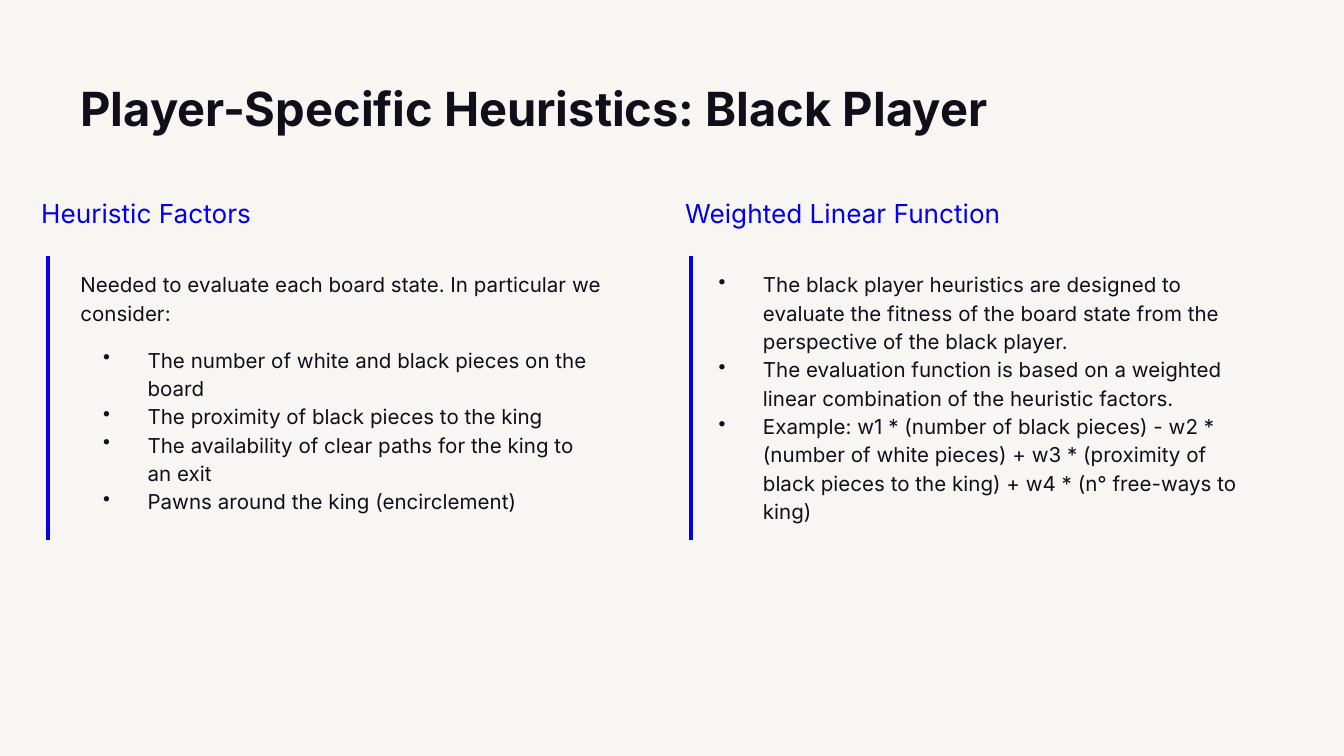
from lxml import etree
from pptx import Presentation
from pptx.dml.color import RGBColor
from pptx.enum.shapes import MSO_CONNECTOR
from pptx.enum.text import MSO_ANCHOR
from pptx.oxml.ns import qn
from pptx.util import Cm, Pt

STRAIGHT = MSO_CONNECTOR.STRAIGHT
TOP, MIDDLE = MSO_ANCHOR.TOP, MSO_ANCHOR.MIDDLE
PAPER = RGBColor(0xF8, 0xF6, 0xF3)
INK = RGBColor(0x10, 0x0F, 0x19)
BLUE = RGBColor(0x04, 0x00, 0xE5)

TITLE = "Player-Specific Heuristics: Black Player"
COLUMNS = [
    {
        "heading": "Heuristic Factors",
        "intro": "Needed to evaluate each board state. In particular we consider:",
        "bullets": [
            "The number of white and black pieces on the board",
            "The proximity of black pieces to the king",
            "The availability of clear paths for the king to an exit",
            "Pawns around the king (encirclement)",
        ],
        "heading_left": 0.53, "rule_left": 0.91,
        "body_left": 1.27, "body_width": 10.39, "body_height": 5.38,
    },
    {
        "heading": "Weighted Linear Function",
        "intro": None,
        "bullets": [
            "The black player heuristics are designed to evaluate the fitness "
            "of the board state from the perspective of the black player.",
            "The evaluation function is based on a weighted linear combination "
            "of the heuristic factors.",
            "Example: w1 * (number of black pieces) - w2 * (number of white pieces) "
            "+ w3 * (proximity of black pieces to the king) "
            "+ w4 * (n° free-ways to king)",
        ],
        "heading_left": 12.7, "rule_left": 13.06,
        "body_left": 12.9, "body_width": 10.92, "body_height": 7.59,
    },
]

TITLE_FONT = {"size": Pt(25.2), "bold": True}
HEADING_FONT = {"size": Pt(14)}
BODY_FONT = {"size": Pt(11)}
MARGINS = ("margin_left", "margin_top", "margin_right", "margin_bottom")
HEADING_TOP, HEADING_WIDTH, BAND_HEIGHT = 3.23, 10.49, 1.6
BODY_TOP, RULE_BOTTOM = 4.83, 10.21


def add_box(page, left, top, width, height, anchor):
    box = page.shapes.add_textbox(Cm(left), Cm(top), Cm(width), Cm(height))
    frame = box.text_frame
    frame.word_wrap = True
    frame.vertical_anchor = anchor
    for margin in MARGINS:
        setattr(frame, margin, Cm(0.25))
    return frame


def write(para, text, font, color, **spacing):
    span = para.add_run()
    span.text = text
    for name, value in {"name": "Inter", **font}.items():
        setattr(span.font, name, value)
    span.font.color.rgb = color
    for name, value in spacing.items():
        setattr(para, name, value)


def add_bullet(para):
    props = para._p.get_or_add_pPr()
    props.set("marL", str(Cm(1.27)))
    props.set("indent", str(-Cm(0.84)))
    etree.SubElement(props, qn("a:buChar")).set("char", "•")


def add_body(page, column):
    frame = add_box(page, column["body_left"], BODY_TOP,
                    column["body_width"], column["body_height"], TOP)
    intro = column["intro"]
    para = frame.paragraphs[0]
    if intro:
        write(para, intro, BODY_FONT, INK, line_spacing=1.15)
    for index, text in enumerate(column["bullets"]):
        if index or intro:
            para = frame.add_paragraph()
        gap = Pt(10) if intro and index == 0 else Pt(0)
        write(para, text, BODY_FONT, INK, line_spacing=1.15, space_before=gap)
        add_bullet(para)


def add_rule(page, left):
    rule = page.shapes.add_connector(
        STRAIGHT, Cm(left), Cm(BODY_TOP), Cm(left), Cm(RULE_BOTTOM))
    rule.line.color.rgb = BLUE
    rule.line.width = Pt(2.25)
    etree.SubElement(rule._element.spPr, qn("a:effectLst"))


def main():
    deck = Presentation()
    deck.slide_width, deck.slide_height = Cm(25.4), Cm(14.29)
    page = deck.slides.add_slide(deck.slide_layouts[6])
    page.background.fill.solid()
    page.background.fill.fore_color.rgb = PAPER

    title = add_box(page, 1.27, 1.24, 22.86, BAND_HEIGHT, MIDDLE)
    write(title.paragraphs[0], TITLE, TITLE_FONT, INK)
    for column in COLUMNS:
        heading = add_box(page, column["heading_left"], HEADING_TOP,
                          HEADING_WIDTH, BAND_HEIGHT, MIDDLE)
        write(heading.paragraphs[0], column["heading"], HEADING_FONT, BLUE,
              space_after=Pt(12))
        add_body(page, column)
        add_rule(page, column["rule_left"])
    deck.save("out.pptx")


if __name__ == "__main__":
    main()
